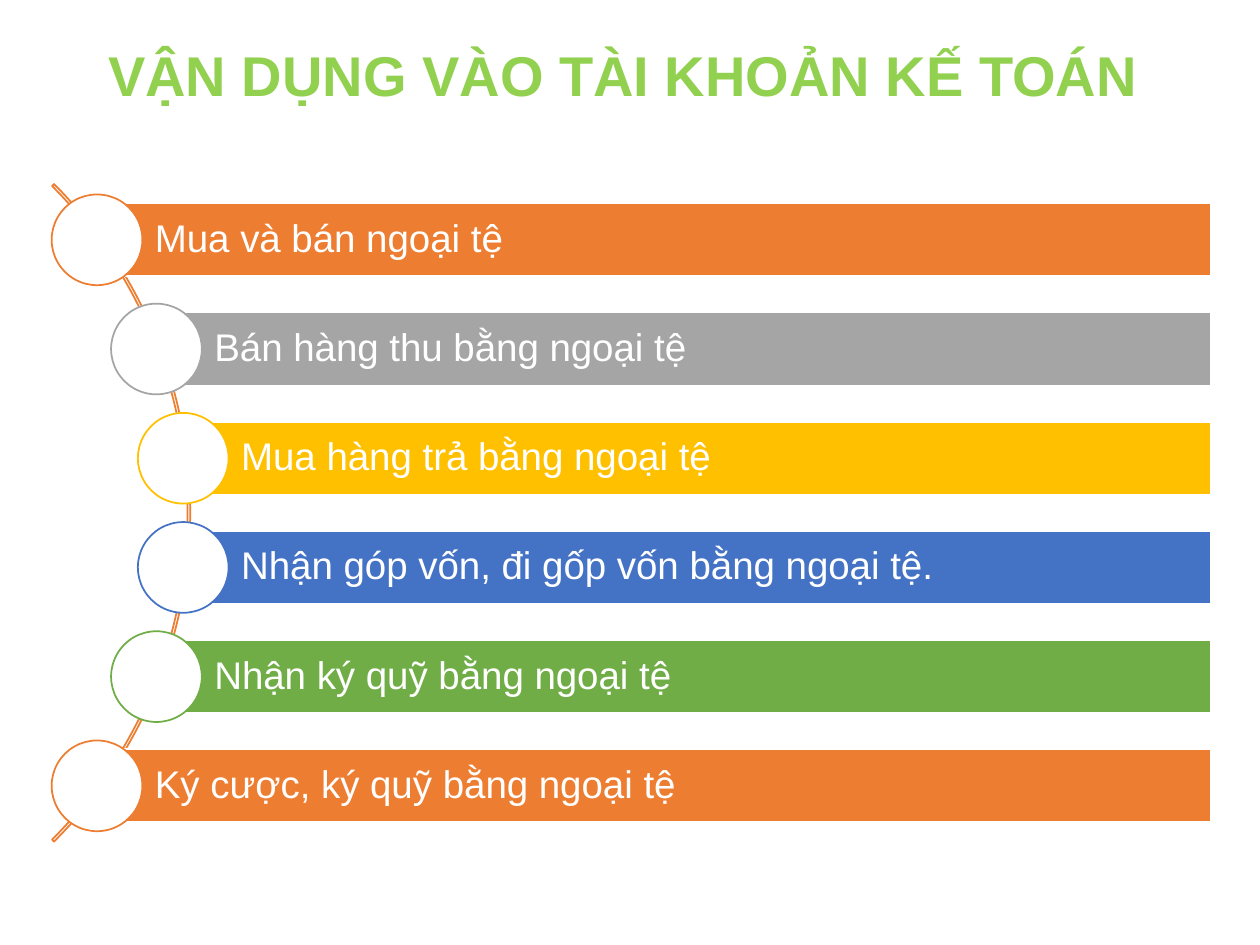
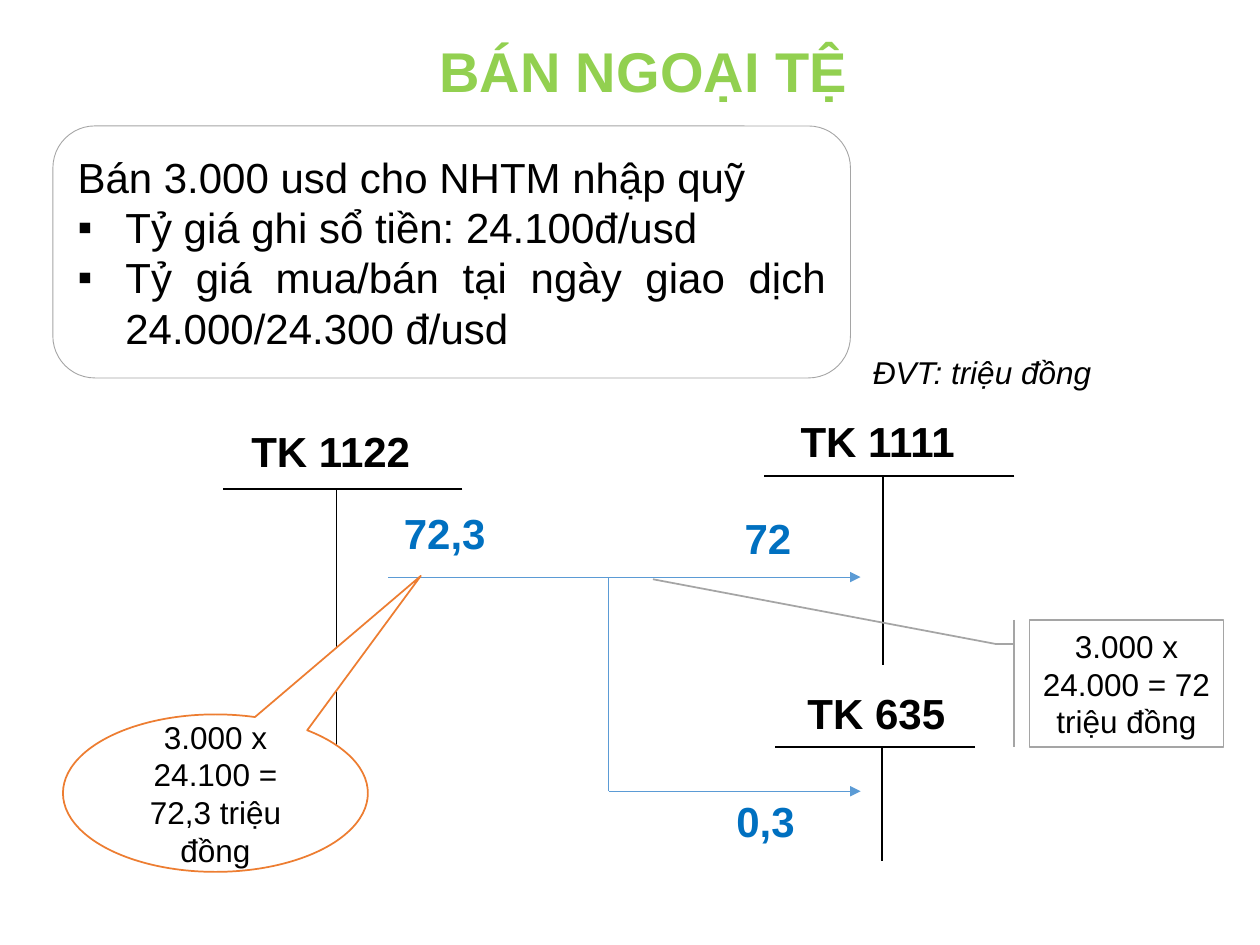
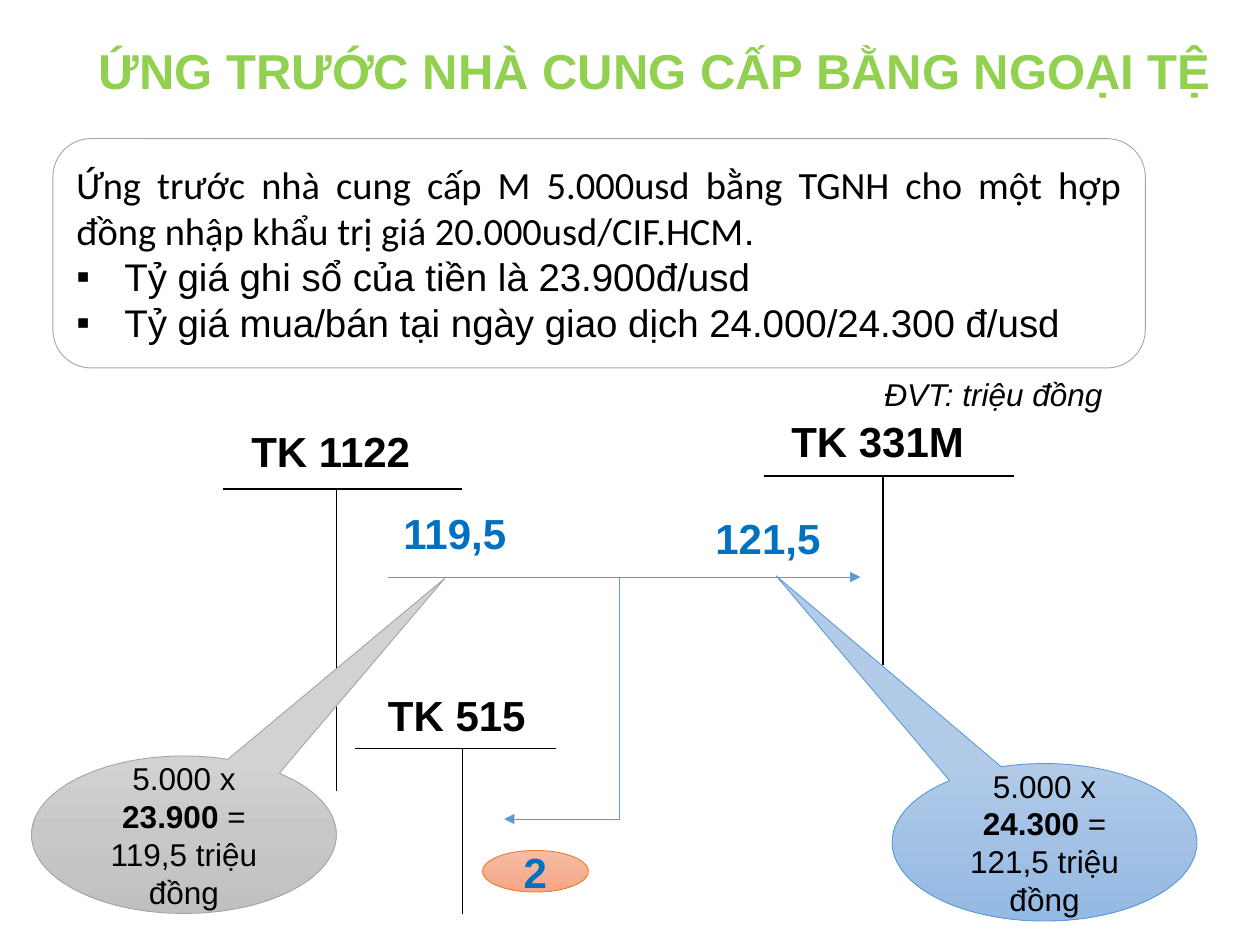
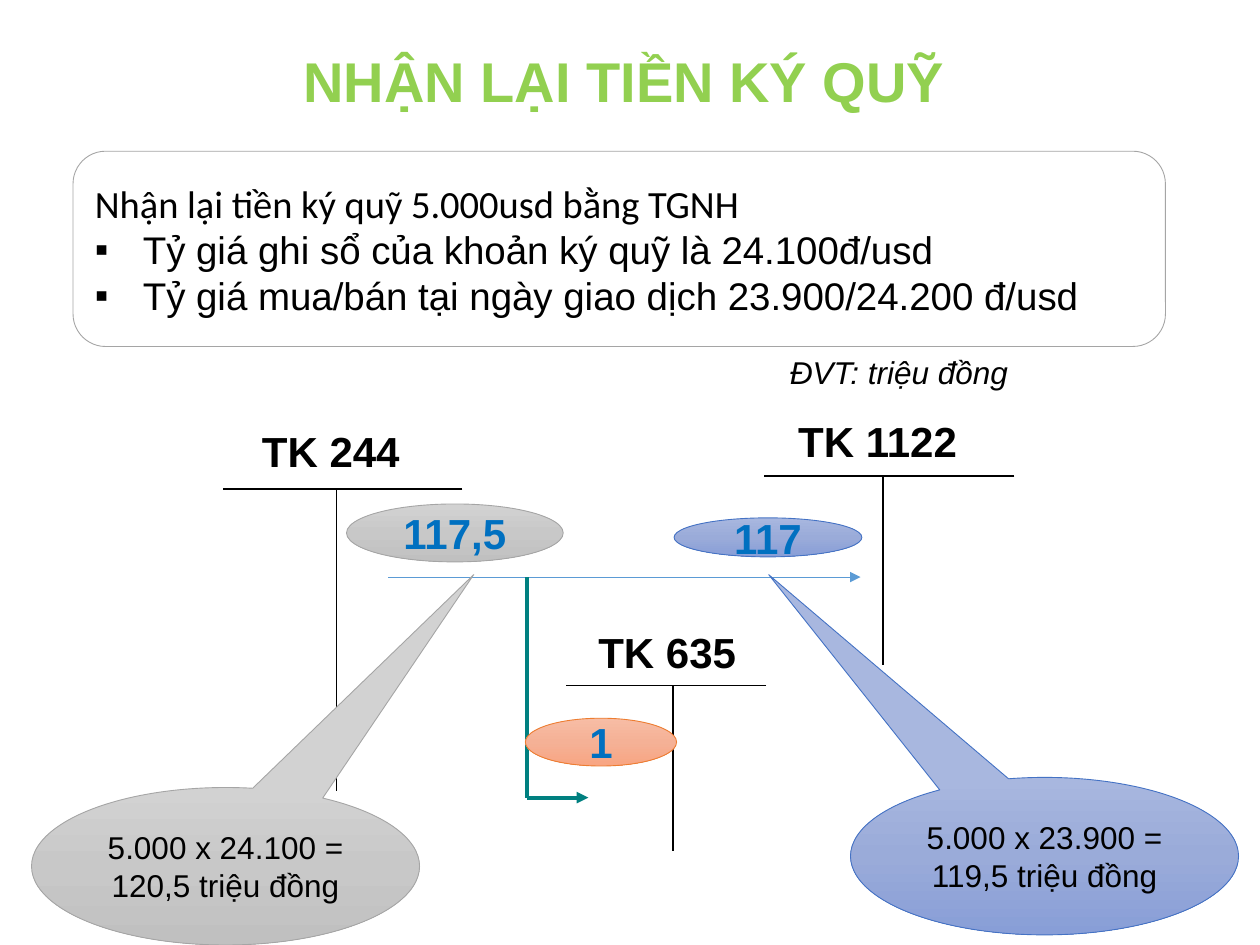
from collections import namedtuple
from copy import deepcopy
from dataclasses import dataclass
from math import sqrt

from lxml.etree import SubElement
from pptx import Presentation
from pptx.dml.color import RGBColor
from pptx.enum.shapes import MSO_CONNECTOR as Line, MSO_SHAPE as Preset
from pptx.enum.text import MSO_ANCHOR as Anchor, PP_ALIGN as Align
from pptx.oxml.ns import qn
from pptx.util import Inches, Pt

Box = namedtuple("Box", "left top width height")
Paint = namedtuple("Paint", "fills line weight")
AccountForm = namedtuple("AccountForm", "rule_drop rule_start rule_end")


@dataclass(frozen=True)
class Theme:
    body_font: str = "Arial"
    lead_font: str = "Calibri"
    title_size: int = 32
    long_title_size: int = 28
    account_size: int = 24
    statement_size: int = 22
    note_size: int = 18
    black: str = "000000"
    white: str = "FFFFFF"
    title: str = "92D050"
    amount: str = "0070C0"
    arrow: str = "5B9BD5"
    teal: str = "008080"
    orange: str = "ED7D31"
    gray: str = "A5A5A5"
    gold: str = "FFC000"
    blue: str = "4472C4"
    green: str = "70AD47"


T = Theme()

CLEAR = Paint((), None, 0)
PLAIN_GRAY = Paint((T.white,), T.gray, 1)
PLAIN_ORANGE = Paint((T.white,), T.orange, 1)
STATEMENT = Paint((T.white,), T.gray, 0.5)
SOFT_GRAY = Paint(("D2D2D2", "C8C8C8", "C0C0C0"), T.gray, 0.5)
SOFT_SKY = Paint(("B1CBE9", "A3C1E5", "93B9E4"), T.arrow, 0.5)
SOFT_BLUE = Paint(("A8B7DF", "9AABD9", "889ED7"), T.blue, 0.5)
SOFT_ORANGE = Paint(("F7BDA5", "F5B196", "F8A582"), T.orange, 0.5)

LEFT_FORM = AccountForm(0.55, 0.52, 2.42)
RIGHT_FORM = AccountForm(0.53, 0.47, 2.46)
SMALL_FORM = AccountForm(0.52, 0.57, 2.16)
ACCOUNT_WIDTH = 2.75
STEM_OFFSET = 1.42

FLOW_Y = 4.58
FLOW_START, FLOW_END = 3.08, 6.83


def font_style(size, color=T.black, **extra):
    return {"name": T.body_font, "size": size, "color": color, **extra}


TITLE = font_style(T.title_size, T.title, bold=True)
ACCOUNT = font_style(T.account_size, bold=True)
AMOUNT = font_style(T.account_size, T.amount, bold=True)
NOTE = font_style(T.note_size)
UNIT = font_style(T.note_size, italic=True)
BAR = font_style(T.statement_size, T.white)


def rgb(value):
    return RGBColor.from_string(value)


def inches(box):
    return [Inches(value) for value in box]


def set_all(target, values):
    for name, value in values.items():
        setattr(target, name, value)


def add_run(paragraph, text, style):
    font = paragraph.add_run()
    font.text = text
    values = dict(style)
    font.font.color.rgb = rgb(values.pop("color"))
    set_all(font.font, {**values, "size": Pt(values["size"])})


def write(paragraph, content, style, **layout):
    """Fill a paragraph with a string or a list of (text, style changes)."""
    set_all(paragraph, layout)
    runs = [(content, {})] if isinstance(content, str) else content
    for text, changes in runs:
        add_run(paragraph, text, {**style, **changes})


def paint(shape, look):
    shape.shadow.inherit = False
    fill = shape.fill
    if not look.fills:
        fill.background()
    elif len(look.fills) == 1:
        fill.solid()
        fill.fore_color.rgb = rgb(look.fills[0])
    else:
        fill.gradient()
        fill.gradient_angle = 270
        stops = shape.element.spPr.find(".//" + qn("a:gsLst"))
        stops.append(deepcopy(stops[0]))
        for index, stop in enumerate(fill.gradient_stops):
            stop.position = index / 2
            stop.color.rgb = rgb(look.fills[index])
    if look.line:
        shape.line.color.rgb = rgb(look.line)
        shape.line.width = Pt(look.weight)
    else:
        shape.line.fill.background()


def add_figure(shapes, preset, box, look, adjustments=()):
    figure = shapes.add_shape(preset, *inches(box))
    for index, value in enumerate(adjustments):
        figure.adjustments[index] = value
    paint(figure, look)
    return figure


def add_label(shapes, box, text, style, frame=None, **layout):
    label = shapes.add_textbox(*inches(box)).text_frame
    set_all(label, {"word_wrap": True, **(frame or {})})
    write(label.paragraphs[0], text, style, **layout)


def add_line(shapes, start, end, color=T.black, weight=1, arrow=False):
    line = shapes.add_connector(Line.STRAIGHT, *inches((*start, *end)))
    line.line.color.rgb = rgb(color)
    line.line.width = Pt(weight)
    properties = line.element.spPr
    if arrow:
        SubElement(properties.find(qn("a:ln")), qn("a:tailEnd"), type="triangle")
    SubElement(properties, qn("a:effectLst"))


def add_title(slide, box, text, size=T.title_size, spacing=None):
    add_label(slide.shapes, box, text, {**TITLE, "size": size},
              {"word_wrap": False, "vertical_anchor": Anchor.MIDDLE},
              alignment=Align.CENTER, line_spacing=spacing)


def topic_list(slide, box, topics):
    """Coloured bars whose discs sit along an arc bulging to the right."""
    pitch, bar_height, disc, radius = box.height / len(topics), 0.58, 0.72, 3.66
    arc_size = 7.38
    middle = box.top + box.height / 2
    arc_x = box.left - 2.59
    add_figure(slide.shapes, Preset.BLOCK_ARC,
               Box(arc_x - arc_size / 2, middle - arc_size / 2, arc_size, arc_size),
               Paint((), T.orange, 1), (189, 27, 0.003))
    for index, (topic, color) in enumerate(topics):
        y = box.top + (index + 0.5) * pitch
        x = arc_x + sqrt(radius ** 2 - (y - middle) ** 2)
        bar = add_figure(
            slide.shapes, Preset.RECTANGLE,
            Box(x, y - bar_height / 2, box.left + box.width - x, bar_height),
            Paint((color,), T.white, 1))
        insets = dict.fromkeys(("margin_top", "margin_right", "margin_bottom"), Inches(0.06))
        set_all(bar.text_frame, {**insets, "margin_left": Inches(0.46)})
        write(bar.text_frame.paragraphs[0], topic, BAR,
              alignment=Align.LEFT, line_spacing=0.9)
        add_figure(slide.shapes, Preset.OVAL,
                   Box(x - disc / 2, y - disc / 2, disc, disc),
                   Paint((T.white,), color, 1))


def add_account(slide, name, left, top, height, form):
    """A T-account: name, rule below it, and stem down to the box foot."""
    shapes = slide.shapes.add_group_shape().shapes
    rule_y, stem_x = top + form.rule_drop, left + STEM_OFFSET
    add_label(shapes, Box(left, top, ACCOUNT_WIDTH, 0.5), name, ACCOUNT,
              alignment=Align.CENTER)
    add_line(shapes, (left + form.rule_end, rule_y), (left + form.rule_start, rule_y))
    add_line(shapes, (stem_x, rule_y), (stem_x, top + height))


def add_centred(slide, preset, box, text, style, look=CLEAR, adjustments=()):
    figure = add_figure(slide.shapes, preset, box, look, adjustments)
    write(figure.text_frame.paragraphs[0], text, style, alignment=Align.CENTER)


def add_amount(slide, box, text, look=CLEAR):
    add_centred(slide, Preset.OVAL, box, text, AMOUNT, look)


def add_bubble(slide, box, tip, text, look):
    """An oval callout whose tail ends at the point tip."""
    tail = ((tip[0] - box.left) / box.width - 0.5,
            (tip[1] - box.top) / box.height - 0.5)
    add_centred(slide, Preset.OVAL_CALLOUT, box, text, NOTE, look, tail)


def add_branch(slide, x, foot, end_x, color=T.arrow, weight=0.5):
    """A line down from the main flow that turns into an arrow."""
    add_line(slide.shapes, (x, FLOW_Y), (x, foot), color, weight)
    add_line(slide.shapes, (x, foot), (end_x, foot), color, weight, arrow=True)


def add_statement(slide, box, lead, bullets, size=T.statement_size):
    frame = add_figure(slide.shapes, Preset.ROUNDED_RECTANGLE, box, STATEMENT).text_frame
    style = font_style(size)
    write(frame.paragraphs[0], lead, style, alignment=Align.JUSTIFY)
    indent = Inches(0.38)
    for bullet in bullets:
        paragraph = frame.add_paragraph()
        properties = paragraph._p.get_or_add_pPr()
        set_all_xml = {"marL": indent, "indent": -indent}
        for name, value in set_all_xml.items():
            properties.set(name, str(int(value)))
        SubElement(properties, qn("a:buFont"), typeface=T.body_font)
        SubElement(properties, qn("a:buChar"), char="▪")
        write(paragraph, bullet, style, alignment=Align.JUSTIFY)


def add_flow(slide, source, target, amounts, unit_at):
    """The two main accounts, the arrow between them, and the unit note.

    Each amount is (text, look).
    """
    add_account(slide, target, 5.59, 3.25, 2.03, RIGHT_FORM)
    add_account(slide, source, 1.25, 3.33, 2.95, LEFT_FORM)
    (paid, paid_look, paid_width), (received, received_look) = amounts
    add_amount(slide, Box(5.35, 4.11, 1.49, 0.31), received, received_look)
    add_amount(slide, Box(2.75, 4, paid_width, 0.46), paid, paid_look)
    add_label(slide.shapes, Box(*unit_at, 2.25, 0.4), "ĐVT: triệu đồng", UNIT)
    add_line(slide.shapes, (FLOW_START, FLOW_Y), (FLOW_END, FLOW_Y),
             T.arrow, 0.5, arrow=True)


def topics_slide(slide):
    add_title(slide, Box(0.72, 0.27, 8.45, 0.64), "VẬN DỤNG VÀO TÀI KHOẢN KẾ TOÁN")
    topic_list(slide, Box(0.41, 1.47, 9.2, 5.2), [
        ("Mua và bán ngoại tệ", T.orange),
        ("Bán hàng thu bằng ngoại tệ", T.gray),
        ("Mua hàng trả bằng ngoại tệ", T.gold),
        ("Nhận góp vốn, đi gốp vốn bằng ngoại tệ.", T.blue),
        ("Nhận ký quỹ bằng ngoại tệ", T.green),
        ("Ký cược, ký quỹ bằng ngoại tệ", T.orange),
    ])


def sale_slide(slide):
    add_flow(slide, "TK 1122", "TK 1111",
             (("72,3", CLEAR, 1.56), ("72", CLEAR)), (6.83, 2.75))
    add_bubble(slide, Box(0.5, 5.67, 2.42, 1.25), (3.34, 4.57),
               "3.000 x 24.100 = 72,3 triệu đồng", PLAIN_ORANGE)
    add_branch(slide, 4.83, 6.28, FLOW_END)
    add_account(slide, "TK 635", 5.58, 5.41, 1.42, SMALL_FORM)
    add_amount(slide, Box(5.33, 6.36, 1.49, 0.31), "0,3")
    add_centred(slide, Preset.LINE_CALLOUT_2_BORDER_AND_ACCENT_BAR,
                Box(8.17, 4.92, 1.54, 1.01), "3.000 x 24.000 = 72 triệu đồng",
                NOTE, PLAIN_GRAY, (0.19, -0.08, 0.19, -0.17, -0.32, -1.94))
    add_statement(slide, Box(0.42, 1, 6.33, 2), "Bán 3.000 usd cho NHTM nhập quỹ", [
        "Tỷ giá ghi sổ tiền: 24.100đ/usd",
        "Tỷ giá mua/bán tại ngày giao dịch 24.000/24.300 đ/usd",
    ], T.account_size)
    add_title(slide, Box(3.37, 0.24, 3.47, 0.64), "BÁN NGOẠI TỆ")


def advance_slide(slide):
    add_title(slide, Box(0.54, 0.16, 9.31, 0.85),
              "ỨNG TRƯỚC NHÀ CUNG CẤP BẰNG NGOẠI TỆ", T.long_title_size, 0.9)
    add_flow(slide, "TK 1122", "TK 331M",
             (("119,5", CLEAR, 1.72), ("121,5", CLEAR)), (6.92, 2.93))
    for left, top, tip, rate, total, look in (
        (0.25, 6, (3.53, 4.59), "23.900", "119,5", SOFT_GRAY),
        (7.08, 6.06, (6.16, 4.57), "24.300", "121,5", SOFT_SKY),
    ):
        add_bubble(slide, Box(left, top, 2.42, 1.25), tip,
                   [("5.000 x ", {}), (rate, {"bold": True}),
                    (f" = {total} triệu đồng", {})], look)
    add_account(slide, "TK 515", 2.25, 5.42, 1.83, SMALL_FORM)
    add_branch(slide, 4.92, 6.5, 4)
    add_amount(slide, Box(3.83, 6.75, 0.84, 0.33), "2", SOFT_ORANGE)
    add_statement(slide, Box(0.42, 1.1, 8.67, 1.82), [
        ("Ứng trước nhà cung cấp M 5.000usd bằng TGNH cho một hợp đồng "
         "nhập khẩu trị giá 20.000usd/CIF.HCM", {"name": T.lead_font}),
        (".", {}),
    ], [
        "Tỷ giá ghi sổ của tiền là 23.900đ/usd",
        "Tỷ giá mua/bán tại ngày giao dịch 24.000/24.300 đ/usd",
    ])


def refund_slide(slide):
    add_title(slide, Box(1.42, 0.3, 7.07, 0.74), "NHẬN LẠI TIỀN KÝ QUỸ", spacing=0.9)
    add_flow(slide, "TK 244", "TK 1122",
             (("117,5", SOFT_GRAY, 1.72), ("117", SOFT_BLUE)), (6.17, 2.75))
    for left, top, tip, text, look in (
        (0.25, 6.25, (3.76, 4.56), "5.000 x 24.100 = 120,5 triệu đồng", SOFT_GRAY),
        (6.75, 6.17, (6.1, 4.56), "5.000 x 23.900 = 119,5 triệu đồng", SOFT_BLUE),
    ):
        add_bubble(slide, Box(left, top, 3.08, 1.25), tip, text, look)
    add_branch(slide, 4.18, 6.33, 4.67, T.teal, 2.25)
    add_account(slide, "TK 635", 3.92, 4.92, 1.83, SMALL_FORM)
    add_amount(slide, Box(4.17, 5.7, 1.2, 0.38), "1", SOFT_ORANGE)
    add_statement(slide, Box(0.58, 1.2, 8.67, 1.55), [
        ("Nhận lại tiền ký quỹ 5.000usd bằng TGNH", {"name": T.lead_font}),
    ], [
        "Tỷ giá ghi sổ của khoản ký quỹ là 24.100đ/usd",
        "Tỷ giá mua/bán tại ngày giao dịch 23.900/24.200 đ/usd",
    ])


def main():
    deck = Presentation()
    set_all(deck, {"slide_width": Inches(10), "slide_height": Inches(7.5)})
    blank = deck.slide_layouts[6]
    for build in (topics_slide, sale_slide, advance_slide, refund_slide):
        build(deck.slides.add_slide(blank))
    deck.save("out.pptx")


if __name__ == "__main__":
    main()
